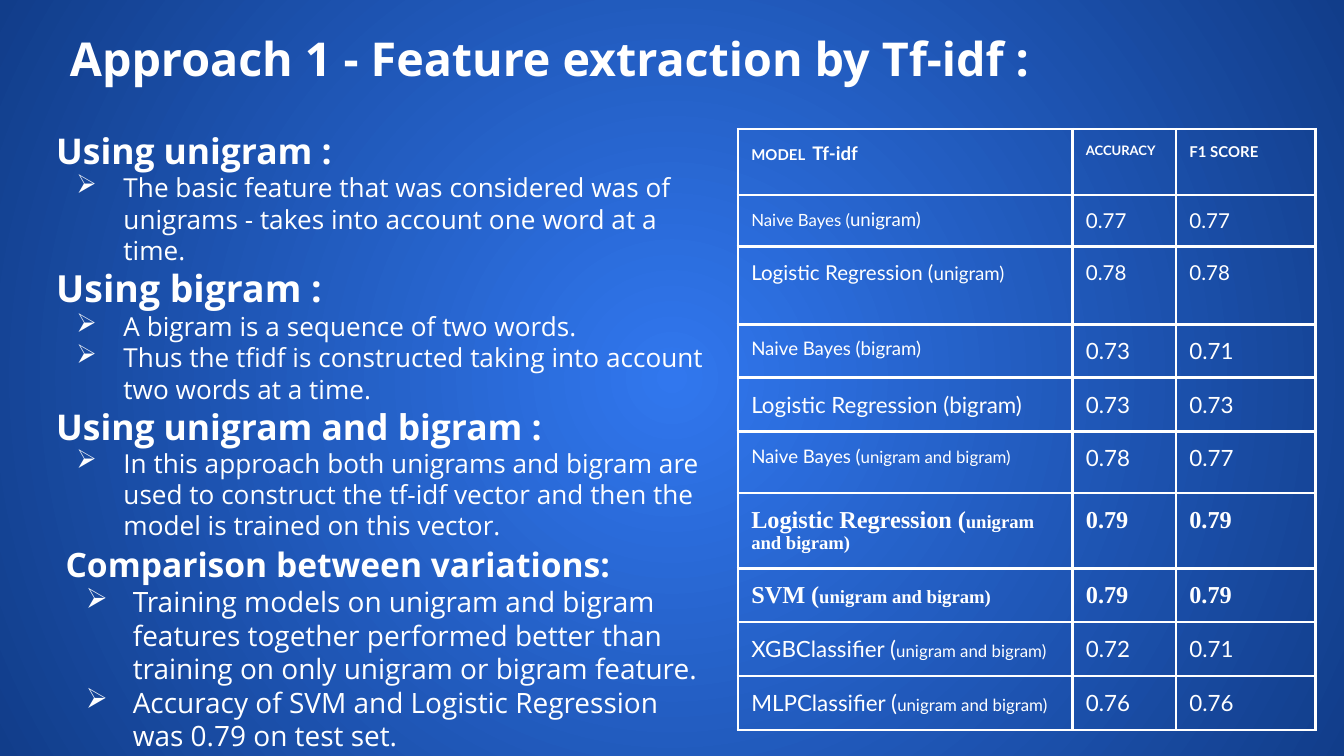
from dataclasses import dataclass
from lxml.etree import SubElement
from pptx import Presentation
from pptx.dml.color import RGBColor
from pptx.enum.text import MSO_ANCHOR, MSO_AUTO_SIZE, PP_ALIGN
from pptx.oxml.ns import qn
from pptx.util import Pt


@dataclass(frozen=True)
class Theme:
    """Colours, fonts and type sizes of the slide."""
    ink: str = "FFFFFF"
    glow: str = "3177EE"
    edge: str = "113D8A"
    body: str = "Open Sans"
    grid: str = "Lato"
    accent: str = "Times New Roman"
    title: int = 25
    heading: int = 19
    big_heading: int = 20
    low_heading: int = 18
    bullet: int = 14
    big_bullet: int = 15
    tiny: int = 7
    label: int = 8
    small: int = 9
    note: int = 10
    medium: int = 11
    large: int = 12
    best: int = 13
    inset: float = 7.2
    border: float = 1.5


class SlideBuilder:
    """Draws each kind of element on the current page."""

    def __init__(self, page, theme):
        """Keep the page and its theme."""
        self.page = page
        self.theme = theme

    def background(self):
        """Paint a gradient that glows from the centre."""
        fill = self.page.background.fill
        fill.gradient()
        for stop, color in zip(fill.gradient_stops, (self.theme.glow, self.theme.edge)):
            stop.color.rgb = RGBColor.from_string(color)
        gradient = self.page.element.find(".//" + qn("a:gradFill"))
        gradient.remove(gradient.find(qn("a:lin")))
        path = SubElement(gradient, qn("a:path"), path="circle")
        SubElement(path, qn("a:fillToRect"), {side: "50000" for side in "ltrb"})

    def span(self, para, text, size, font, bold):
        """Add one formatted run."""
        span = para.add_run()
        span.text = text
        span.font.size = Pt(size)
        span.font.name = font
        span.font.bold = bold
        span.font.color.rgb = RGBColor.from_string(self.theme.ink)

    def frame(self, box):
        """Set wrapping, insets and anchor of a text frame."""
        frame = box.text_frame
        frame.word_wrap = True
        frame.auto_size = MSO_AUTO_SIZE.NONE
        frame.vertical_anchor = MSO_ANCHOR.TOP
        self.margins(frame)
        return frame

    def margins(self, holder):
        """Set four equal insets."""
        holder.margin_left = holder.margin_right = Pt(self.theme.inset)
        holder.margin_top = holder.margin_bottom = Pt(self.theme.inset)

    def title(self, text, left, top, width, height):
        """Place and fill the title placeholder."""
        box = self.page.shapes.title
        box.left, box.top, box.width, box.height = map(Pt, (left, top, width, height))
        para = self.frame(box).paragraphs[0]
        para.alignment = PP_ALIGN.LEFT
        self.span(para, text, self.theme.title, self.theme.body, True)

    def bullet(self, para):
        """Give a paragraph an arrow bullet and a hanging indent."""
        properties = para._p.get_or_add_pPr()
        properties.set("marL", str(Pt(36)))
        properties.set("indent", str(Pt(-25.2)))
        color = SubElement(properties, qn("a:buClr"))
        SubElement(color, qn("a:srgbClr"), val=self.theme.ink)
        SubElement(properties, qn("a:buChar"), char="➢")

    def outline(self, sections, bullet_size, left, top, width, height):
        """Add a text box of headings with bullets."""
        box = self.page.shapes.add_textbox(*map(Pt, (left, top, width, height)))
        frame = self.frame(box)
        para = frame.paragraphs[0]
        for index, (heading, heading_size, points) in enumerate(sections):
            if index:
                para = frame.add_paragraph()
            self.span(para, heading, heading_size, self.theme.body, True)
            for point in points:
                para = frame.add_paragraph()
                self.bullet(para)
                self.span(para, point, bullet_size, self.theme.body, False)

    def borders(self, cell):
        """Draw the four edges of a cell."""
        properties = cell._tc.get_or_add_tcPr()
        for index, edge in enumerate(("lnL", "lnR", "lnT", "lnB")):
            line = properties.makeelement(qn("a:" + edge), {"w": str(Pt(self.theme.border))})
            fill = SubElement(line, qn("a:solidFill"))
            SubElement(fill, qn("a:srgbClr"), val=self.theme.ink)
            properties.insert(index, line)

    def table(self, rows, left, top, widths, heights):
        """Add a table of (font, bold, cells) rows, each cell a list of spans."""
        shape = self.page.shapes.add_table(
            len(rows), len(widths), Pt(left), Pt(top), Pt(sum(widths)), Pt(sum(heights)))
        table = shape.table
        table.first_row = table.horz_banding = False
        for column, width in zip(table.columns, widths):
            column.width = Pt(width)
        for index, (font, bold, cells) in enumerate(rows):
            table.rows[index].height = Pt(heights[index])
            for column, spans in enumerate(cells):
                cell = table.cell(index, column)
                cell.fill.background()
                self.margins(cell)
                self.borders(cell)
                for text, size in spans:
                    self.span(cell.text_frame.paragraphs[0], text, size, font, bold)


def result(model, accuracy, score, size, font=Theme.grid, bold=False):
    """Return one row of model scores."""
    return font, bold, [model, [(accuracy, size)], [(score, size)]]


theme = Theme()
deck = Presentation()
deck.slide_width, deck.slide_height = Pt(720), Pt(405)
builder = SlideBuilder(deck.slides.add_slide(deck.slide_layouts[5]), theme)
builder.background()
builder.title("Approach 1 - Feature extraction by Tf-idf :", 30.24, 8.64, 621.36, 48.96)
builder.outline([
    ("Using unigram :", theme.heading, [
        "The basic feature that was considered was of unigrams - takes into account "
        "one word at a time. "]),
    ("Using bigram :", theme.big_heading, [
        "A bigram is a sequence of two words. ",
        "Thus the tfidf is constructed taking into account two words at a time."]),
    ("Using unigram and bigram :", theme.heading, [
        "In this approach both unigrams and bigram are used to construct the tf-idf "
        "vector and then the model is trained on this vector."]),
], theme.bullet, 23.04, 61.92, 366.48, 336.24)

both = "unigram and bigram)"
header = (theme.grid, True, [
    [("MODEL  ", theme.label), ("Tf-idf ", theme.note)],
    [("ACCURACY", theme.tiny)], [("F1 SCORE", theme.label)]])
unigram_rows = [
    header,
    result([("Naive Bayes (", theme.small), ("unigram)", theme.note)],
           "0.77", "0.77", theme.medium),
    result([("Logistic Regression (", theme.medium), ("unigram)", theme.note)],
           "0.78", "0.78", theme.medium)]
bigram_rows = [
    result([("Naive Bayes (bigram)", theme.note)], "0.73", "0.71", theme.large),
    result([("Logistic Regression (bigram)", theme.large)], "0.73", "0.73", theme.large)]
combined_rows = [
    result([("Naive Bayes (", theme.note), (both, theme.small)], "0.78", "0.77", theme.large)]
for model in ("Logistic Regression (", "SVM ("):
    combined_rows.append(result([(model, theme.best), (both, theme.note)],
                                "0.79", "0.79", theme.best, theme.accent, True))
for model, accuracy, score in (("XGBClassifier (", "0.72", "0.71"),
                               ("MLPClassifier (", "0.76", "0.76")):
    combined_rows.append(result([(model, theme.large), (both, theme.small)],
                                accuracy, score, theme.large))
for rows, top, heights in (
        (unigram_rows, 69.12, (35.28, 27.36, 41.76)),
        (bigram_rows, 173.52, (28.8, 28.8)),
        (combined_rows, 231.12, (33.12, 40.32, 28.8, 28.8, 28.8))):
    builder.table(rows, 395.28, top, (179.28, 55.44, 74.88), heights)

builder.outline([
    ("Comparison between variations:", theme.low_heading, [
        "Training models on unigram and bigram features together performed better than "
        "training on only unigram or bigram feature.",
        "Accuracy of SVM and Logistic Regression was 0.79 on test set."]),
], theme.big_bullet, 28.08, 284.4, 355.68, 103.68)
deck.save("out.pptx")
